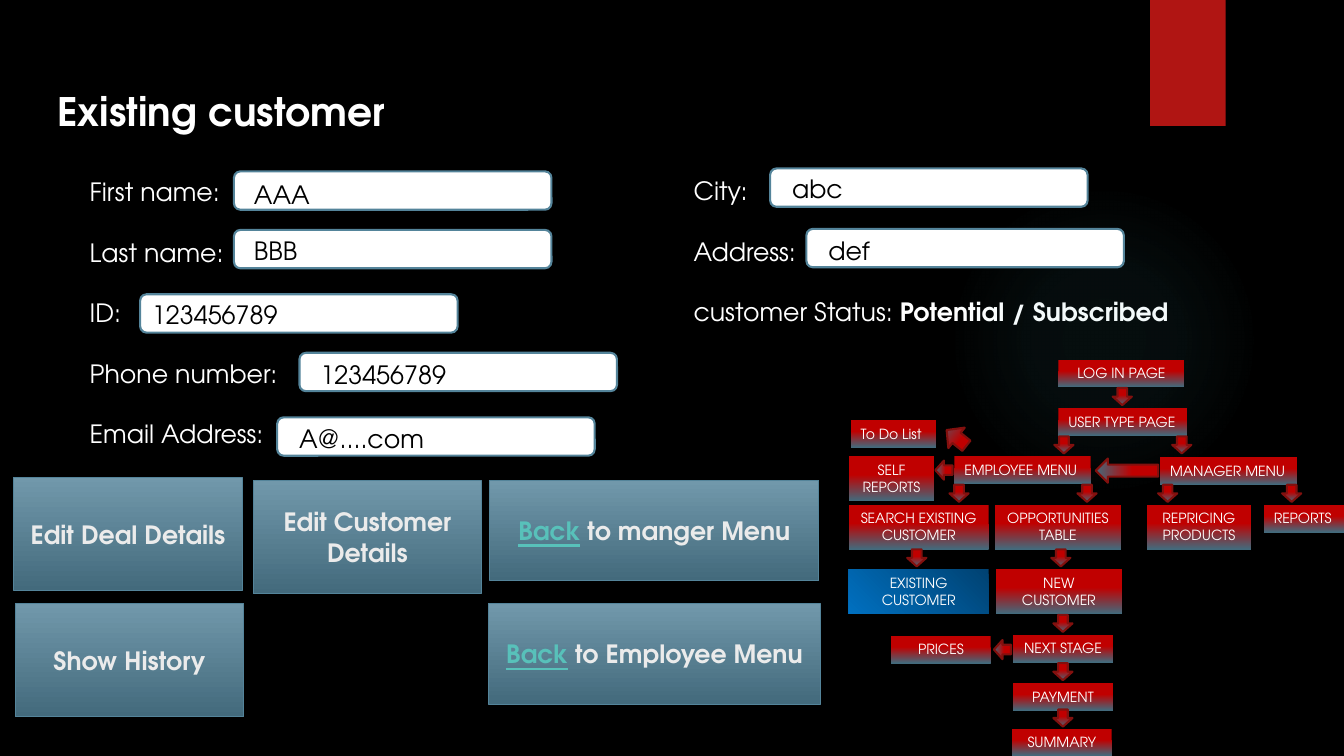
from pptx import Presentation
from pptx.dml.color import RGBColor
from pptx.enum.shapes import MSO_SHAPE
from pptx.enum.text import MSO_ANCHOR, MSO_AUTO_SIZE, PP_ALIGN
from pptx.oxml import parse_xml
from pptx.oxml.ns import nsdecls, qn
from pptx.util import Pt

RECT, ROUNDED = MSO_SHAPE.RECTANGLE, MSO_SHAPE.ROUNDED_RECTANGLE
OVAL, DOWN_ARROW = MSO_SHAPE.OVAL, MSO_SHAPE.DOWN_ARROW
TOP, MIDDLE = MSO_ANCHOR.TOP, MSO_ANCHOR.MIDDLE
LEFT, CENTER = PP_ALIGN.LEFT, PP_ALIGN.CENTER
NO_AUTOFIT = MSO_AUTO_SIZE.NONE

FONT = "TeX Gyre Adventor"
WHITE, BLACK, PALE, LINK = "FFFFFF", "000000", "EBEBEB", "58C1BA"
STEEL, ARROW_EDGE, ACCENT = "54849A", "82100E", "B01513"
# Gradients: start position, start colour, end colour, angle
RED_FADE = (0.41, "C00000", "436A7C", 270)
STEEL_FADE = (0, "7198AB", "436A7C", 270)
CURRENT_FADE = (0, "004272", "0070C0", 225)

FIELD_W, FIELD_H = 226.8, 27.4
LINE_H = 21.6
ONE_LINE, TWO_LINES = 19.4, 31.7


def rgb(hex_color):
    return RGBColor.from_string(hex_color)


def place(item, left, top, width, height):
    item.left, item.top = Pt(left), Pt(top)
    item.width, item.height = Pt(width), Pt(height)


def add_box(slide, preset, box, fill=None, fade=None, edge=None, edge_width=1.5):
    shape = slide.shapes.add_shape(preset, *map(Pt, box))
    shape.shadow.inherit = False
    if fade:
        start, first, last, angle = fade
        shape.fill.gradient()
        shape.fill.gradient_angle = angle
        stops = shape.fill.gradient_stops
        stops[0].position, stops[1].position = start, 1
        stops[0].color.rgb, stops[1].color.rgb = rgb(first), rgb(last)
    else:
        shape.fill.solid()
        shape.fill.fore_color.rgb = rgb(fill)
    if edge:
        shape.line.color.rgb = rgb(edge)
        shape.line.width = Pt(edge_width)
    else:
        shape.line.fill.background()
    return shape


def format_frame(frame, anchor):
    frame.word_wrap = True
    frame.auto_size = NO_AUTOFIT
    frame.vertical_anchor = anchor


def format_runs(paragraph, size, color, bold=False, align=LEFT):
    paragraph.alignment = align
    for run in paragraph.runs:
        run.font.name = FONT
        run.font.size = Pt(size)
        run.font.bold = bold
        run.font.color.rgb = rgb(color)


def add_backdrop(slide):
    slide.background.fill.solid()
    slide.background.fill.fore_color.rgb = rgb(BLACK)
    glow = add_box(slide, OVAL, (677.5, 131.8, 221.8, 221.8), fill=BLACK)
    stops = "".join(
        f'<a:gs pos="{position}"><a:srgbClr val="50B9C1">'
        f'<a:alpha val="{alpha}"/></a:srgbClr></a:gs>'
        for position, alpha in ((0, 7000), (36000, 6000), (69000, 0)))
    properties = glow.element.spPr
    properties.replace(properties.find(qn("a:solidFill")), parse_xml(
        f'<a:gradFill {nsdecls("a")}><a:gsLst>{stops}</a:gsLst><a:path path="circle">'
        '<a:fillToRect l="50000" t="50000" r="50000" b="50000"/></a:path></a:gradFill>'))
    add_box(slide, RECT, (821.5, 0, 54, 90), fill=ACCENT)


def fill_title(slide, box):
    title = slide.shapes.title
    place(title, *box)
    title.text_frame.text = "Existing customer"
    format_frame(title.text_frame, TOP)
    format_runs(title.text_frame.paragraphs[0], 28, WHITE, bold=True)


def fill_form_column(slide, body, box, labels, fields):
    """Place labels on every second line; fields are (dx, dy, value dx, value dy, value)."""
    left, top = box[:2]
    place(body, *box)
    body.text_frame.text = "\n".join(labels)
    format_frame(body.text_frame, TOP)
    for index, label in enumerate(body.text_frame.paragraphs):
        format_runs(label, 18, WHITE)
        label.space_before = Pt(LINE_H if index else 0)
        bullet = label._p.get_or_add_pPr()
        bullet.set("marL", "0")
        bullet.set("indent", "0")
        bullet.append(parse_xml(f'<a:buNone {nsdecls("a")}/>'))
    for dx, dy, value_dx, value_dy, value in fields:
        x, y = left + dx, top + dy
        add_box(slide, ROUNDED, (x, y, FIELD_W, FIELD_H), fill=WHITE, edge=STEEL)
        entry = slide.shapes.add_textbox(
            Pt(x + value_dx), Pt(y + value_dy), Pt(210), Pt(29)).text_frame
        entry.text = value
        format_frame(entry, TOP)
        format_runs(entry.paragraphs[0], 18, BLACK)


def add_customer_form(slide):
    left_body, right_body = list(slide.placeholders)[1:3]
    fill_form_column(
        slide, left_body, (56.9, 122.4, 429, 225),
        ["First name:", "Last name:", "ID:", "Phone number:", "Email Address:"],
        [(110.2, 0, 7.2, 2.2, "AAA"), (110.2, 41.8, 7.2, 0, "BBB"),
         (43.2, 87.8, 1.4, 0, "123456789"), (157, 129.6, 7.9, 1.4, "123456789"),
         (141.1, 175.7, 8.6, 0.7, "A@....com")])
    fill_form_column(
        slide, right_body, (488.2, 121.7, 429, 117),
        ["City:", "Address:", "customer Status: "],
        [(61.9, -1.4, 8.6, 0, "abc"), (87.8, 41.8, 8.6, 0.7, "def")])
    status = right_body.text_frame.paragraphs[-1]
    status.add_run().text = "Potential / Subscribed"
    format_runs(status, 18, WHITE)
    status.runs[-1].font.bold = True


def add_buttons(slide, left, top):
    buttons = [
        (171, 2, 163, 81, "", "Edit Customer Details"),
        (1, 90, 163, 81, "", "Show History"),
        (0, 0, 163, 81, "", "Edit Deal Details"),
        (340, 2, 235, 72, "Back", " to manger Menu"),
        (339, 90, 237, 72, "Back", " to Employee Menu"),
    ]
    for dx, dy, width, height, link, caption in buttons:
        button = add_box(slide, RECT, (left + dx, top + dy, width, height),
                         fade=STEEL_FADE, edge=STEEL, edge_width=0.75)
        format_frame(button.text_frame, MIDDLE)
        button.text_frame.text = link or caption
        line = button.text_frame.paragraphs[0]
        if link:
            line.add_run().text = caption
        format_runs(line, 18, PALE, bold=True, align=CENTER)
        if link:
            line.runs[0].font.color.rgb = rgb(LINK)
            line.runs[0].font.underline = True


def add_page_map(slide, left, top):
    pages = [
        (149.8, 0, 90, ONE_LINE, CENTER, "LOG IN PAGE"),
        (149.8, 34.6, 92.2, ONE_LINE, LEFT, "USER TYPE PAGE"),
        (1.4, 43.2, 61.2, ONE_LINE, LEFT, "To Do List"),
        (0, 69.1, 61.2, TWO_LINES, CENTER, "SELF REPORTS"),
        (75.6, 69.1, 97.2, ONE_LINE, LEFT, "EMPLOYEE MENU"),
        (222.5, 69.8, 98, ONE_LINE, LEFT, "MANAGER MENU"),
        (0, 103.7, 100, TWO_LINES, CENTER, "SEARCH EXISTING CUSTOMER"),
        (104.4, 103.7, 90, TWO_LINES, CENTER, "OPPORTUNITIES TABLE"),
        (213.1, 103.7, 74.2, TWO_LINES, CENTER, "REPRICING PRODUCTS"),
        (296.6, 103.7, 57.6, ONE_LINE, LEFT, "REPORTS"),
        (0, 149.8, 100, TWO_LINES, CENTER, "EXISTING CUSTOMER"),
        (105.1, 149.8, 90, TWO_LINES, CENTER, "NEW CUSTOMER"),
        (30.2, 197.3, 71.3, ONE_LINE, CENTER, "PRICES"),
        (117.4, 196.6, 71.3, ONE_LINE, CENTER, "NEXT STAGE"),
        (117.4, 231.1, 71.3, ONE_LINE, CENTER, "PAYMENT"),
        (116.6, 263.5, 71.3, ONE_LINE, CENTER, "SUMMARY"),
    ]
    for dx, dy, width, height, align, name in pages:
        fade = CURRENT_FADE if name == "EXISTING CUSTOMER" else RED_FADE
        page = add_box(slide, RECT, (left + dx, top + dy, width, height), fade=fade)
        page.text_frame.text = name
        format_frame(page.text_frame, TOP)
        format_runs(page.text_frame.paragraphs[0], 10, WHITE, align=align)

    step_rows = {20.2: [188.6], 54.7: [146.9, 231.1], 89.3: [72, 163.4, 221, 309.6],
                 135.4: [41.8, 144.7], 182.2: [146.2], 216.7: [146.2], 249.8: [146.2]}
    arrows = [(dx, dy, 13.7, 12.2, 0) for dy, row in step_rows.items() for dx in row]
    arrows += [(190.1, 56.9, 17.3, 44.6, 90), (61.2, 72.7, 13.7, 12.2, 90),
               (67.7, 46.8, 18.7, 18, 128.6), (103, 200.9, 13.7, 12.2, 90)]
    for dx, dy, width, height, turn in arrows:
        arrow = add_box(slide, DOWN_ARROW, (left + dx, top + dy, width, height),
                        fade=RED_FADE, edge=ARROW_EDGE)
        arrow.rotation = turn


def main():
    deck = Presentation()
    deck.slide_width, deck.slide_height = Pt(960), Pt(540)
    slide = deck.slides.add_slide(deck.slide_layouts.get_by_name("Two Content"))
    add_backdrop(slide)
    fill_title(slide, (33.8, 59, 320.4, 41))
    add_customer_form(slide)
    add_buttons(slide, 10, 341)
    add_page_map(slide, 606.2, 257)
    deck.save("out.pptx")


if __name__ == "__main__":
    main()
